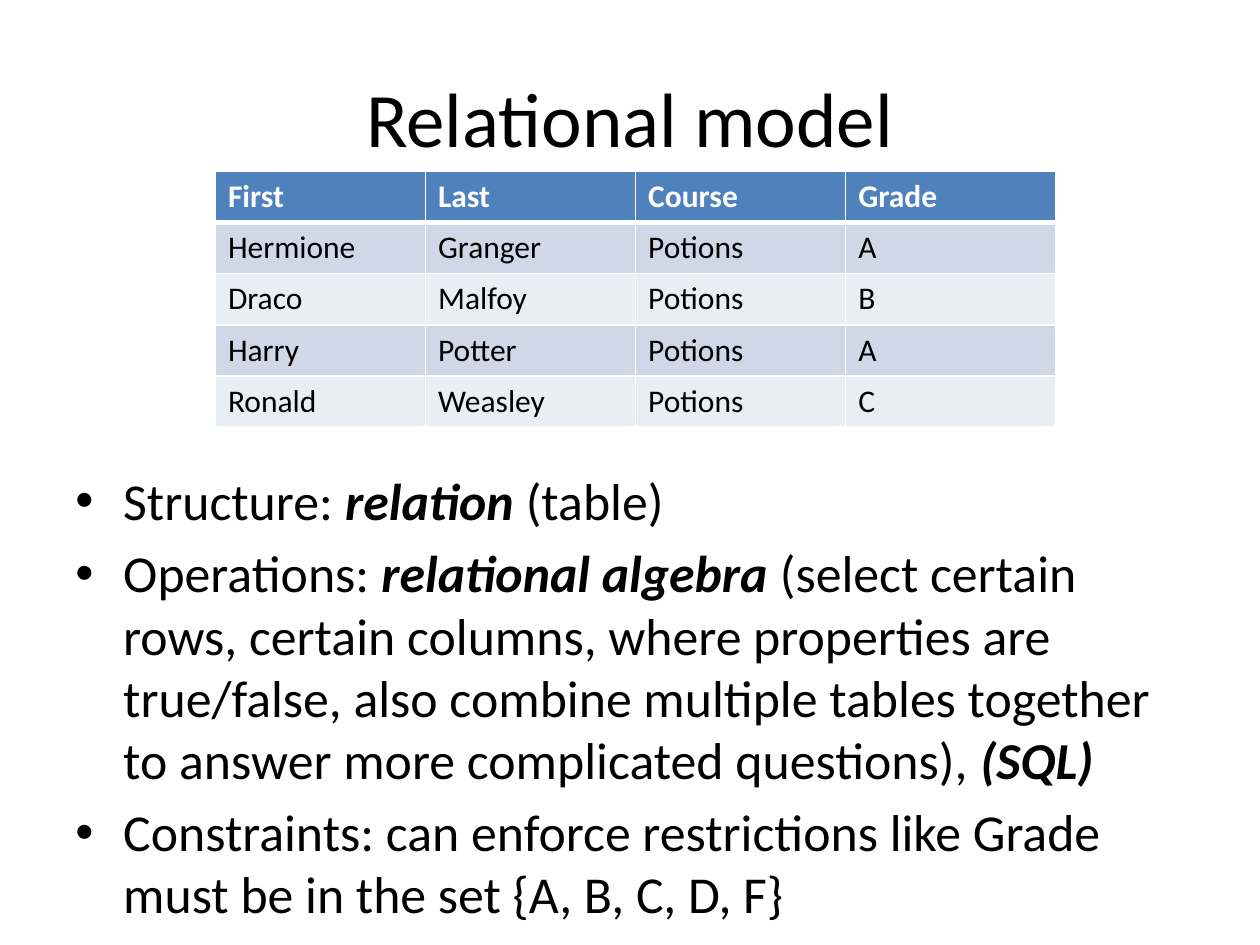
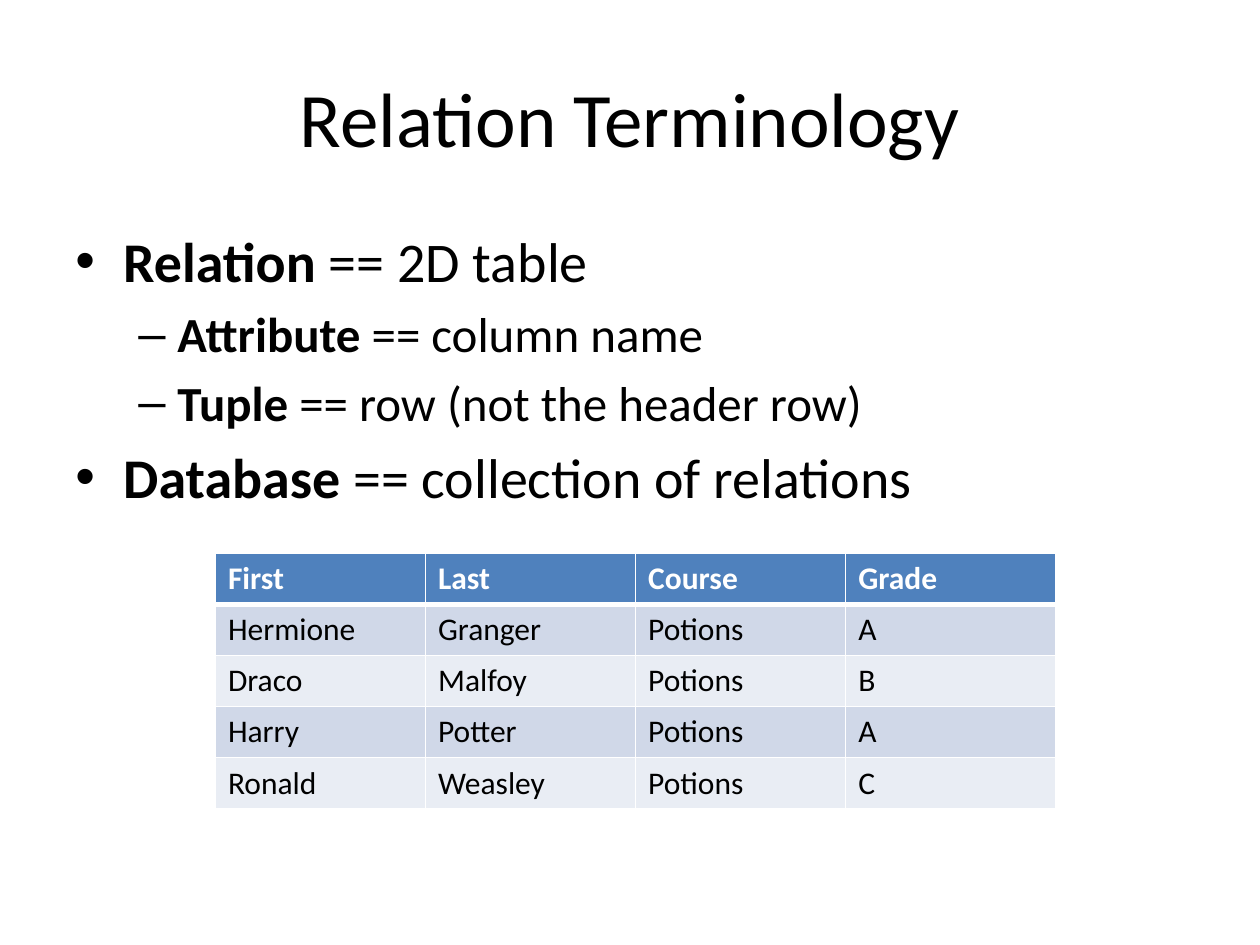
"""Build two slides that introduce the relational model and its terminology."""
from dataclasses import dataclass

from lxml import etree
from pptx import Presentation
from pptx.dml.color import RGBColor
from pptx.enum.text import MSO_ANCHOR, PP_ALIGN
from pptx.oxml.ns import qn
from pptx.util import Inches, Length, Pt

CENTER = PP_ALIGN.CENTER
MIDDLE = MSO_ANCHOR.MIDDLE
TITLE_ONLY = 5

FONT = "Calibri"
BULLET_FONT = "Arial"
BLACK, WHITE = "000000", "FFFFFF"
HEADER_FILL = "4F81BD"
BAND_FILLS = ("D0D8E8", "E9EDF4")

TABLE_LEFT, TABLE_WIDTH, TABLE_HEIGHT = Inches(1.71), Inches(6.67), Inches(2.03)
TABLE_TEXT_SIZE = 18
THIN, THICK = 1, 3
GRADES = (
    ("First", "Last", "Course", "Grade"),
    ("Hermione", "Granger", "Potions", "A"),
    ("Draco", "Malfoy", "Potions", "B"),
    ("Harry", "Potter", "Potions", "A"),
    ("Ronald", "Weasley", "Potions", "C"),
)


@dataclass(frozen=True)
class Level:
    mark: str
    margin: Length
    hanging: Length


LEVELS = (
    Level("•", Inches(0.38), Inches(0.38)),
    Level("–", Inches(0.81), Inches(0.31)),
)


@dataclass(frozen=True)
class Span:
    text: str
    bold: bool = False
    italic: bool = False


@dataclass(frozen=True)
class Bullet:
    spans: tuple[Span, ...]
    size: float
    level: int = 0


@dataclass(frozen=True)
class Topic:
    title: str
    bullets: tuple[Bullet, ...]
    body_top: Length
    body_width: Length
    body_height: Length
    table_top: Length


def key(text: str) -> Span:
    return Span(text, bold=True, italic=True)


def definition(term: str, meaning: str, size: float, level: int = 0) -> Bullet:
    return Bullet((Span(term, bold=True), Span(f" == {meaning}")), size, level)


MODEL_SIZE = 29.6
TOPICS = (
    Topic(
        "Relational model",
        (
            Bullet((Span("Structure: "), key("relation"), Span(" (table)")), MODEL_SIZE),
            Bullet(
                (
                    Span("Operations: "),
                    key("relational algebra "),
                    Span(
                        "(select certain rows, certain columns, where properties are "
                        "true/false, also combine multiple tables together to answer "
                        "more complicated questions), "
                    ),
                    key("(SQL)"),
                ),
                MODEL_SIZE,
            ),
            Bullet(
                (
                    Span(
                        "Constraints: can enforce restrictions like Grade must be "
                        "in the set {A, B, C, D, F}"
                    ),
                ),
                MODEL_SIZE,
            ),
        ),
        body_top=Inches(3.67),
        body_width=Inches(9),
        body_height=Inches(3.75),
        table_top=Inches(1.36),
    ),
    Topic(
        "Relation Terminology",
        (
            definition("Relation", "2D table", 32),
            definition("Attribute", "column name", 28, level=1),
            definition("Tuple", "row (not the header row)", 28, level=1),
            definition("Database", "collection of relations", 32),
        ),
        body_top=Inches(1.75),
        body_width=Inches(9.2),
        body_height=Inches(4.95),
        table_top=Inches(4.39),
    ),
)


def colour(value: str) -> RGBColor:
    return RGBColor.from_string(value)


def add_span(para, span: Span, size: float, text_colour: str = BLACK) -> None:
    run = para.add_run()
    run.text = span.text
    font = run.font
    font.name, font.size = FONT, Pt(size)
    font.bold, font.italic = span.bold, span.italic
    font.color.rgb = colour(text_colour)


def set_title(page, text: str) -> None:
    title = page.shapes.title
    title.left, title.top = Inches(0.5), Inches(0.3)
    title.width, title.height = Inches(9), Inches(1.25)
    title.text_frame.vertical_anchor = MIDDLE
    para = title.text_frame.paragraphs[0]
    para.alignment = CENTER
    add_span(para, Span(text), 44)


def set_bullet(para, level: Level) -> None:
    properties = para._p.get_or_add_pPr()
    properties.set("marL", str(level.margin))
    properties.set("indent", str(-level.hanging))
    etree.SubElement(properties, qn("a:buFont"), typeface=BULLET_FONT)
    etree.SubElement(properties, qn("a:buChar"), char=level.mark)


def add_body(page, topic: Topic) -> None:
    box = page.shapes.add_textbox(
        Inches(0.5), topic.body_top, topic.body_width, topic.body_height
    )
    frame = box.text_frame
    frame.word_wrap = True
    for index, bullet in enumerate(topic.bullets):
        para = frame.add_paragraph() if index else frame.paragraphs[0]
        para.level = bullet.level
        set_bullet(para, LEVELS[bullet.level])
        para.space_before = Pt(round(bullet.size * 0.2, 1) if index else 0)
        for span in bullet.spans:
            add_span(para, span, bullet.size)


def set_borders(cell, top: float, bottom: float) -> None:
    properties = cell._tc.get_or_add_tcPr()
    widths = {"a:lnL": THIN, "a:lnR": THIN, "a:lnT": top, "a:lnB": bottom}
    for tag, width in widths.items():
        line = etree.SubElement(properties, qn(tag), w=str(Pt(width)))
        fill = etree.SubElement(line, qn("a:solidFill"))
        etree.SubElement(fill, qn("a:srgbClr"), val=WHITE)


def add_grades(page, top: Length) -> None:
    row_count, column_count = len(GRADES), len(GRADES[0])
    table = page.shapes.add_table(
        row_count, column_count, TABLE_LEFT, top, TABLE_WIDTH, TABLE_HEIGHT
    ).table
    table.horz_banding = False
    for row_index, values in enumerate(GRADES):
        header = row_index == 0
        fill = HEADER_FILL if header else BAND_FILLS[(row_index - 1) % 2]
        for column_index, value in enumerate(values):
            cell = table.cell(row_index, column_index)
            set_borders(
                cell,
                top=THICK if row_index == 1 else THIN,
                bottom=THICK if header else THIN,
            )
            cell.fill.solid()
            cell.fill.fore_color.rgb = colour(fill)
            add_span(
                cell.text_frame.paragraphs[0],
                Span(value, bold=header),
                TABLE_TEXT_SIZE,
                WHITE if header else BLACK,
            )


def main() -> None:
    deck = Presentation()
    deck.slide_width, deck.slide_height = Inches(10), Inches(7.5)
    for topic in TOPICS:
        page = deck.slides.add_slide(deck.slide_layouts[TITLE_ONLY])
        set_title(page, topic.title)
        add_body(page, topic)
        add_grades(page, topic.table_top)
    deck.save("out.pptx")


if __name__ == "__main__":
    main()
